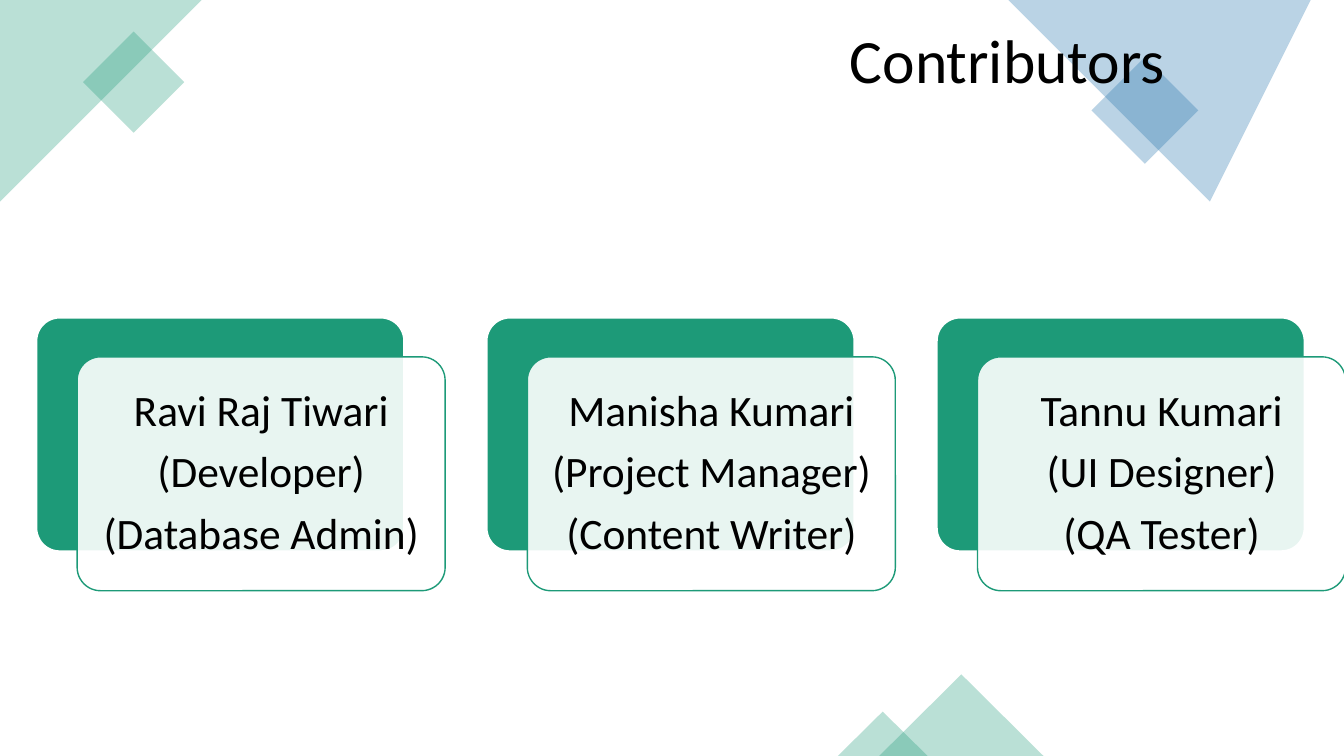
from lxml import etree
from pptx import Presentation
from pptx import util as u
from pptx.dml.color import RGBColor
from pptx.enum import shapes, text
from pptx.oxml.ns import qn

COLORS = {"green": "1D9A78", "blue": "1D6FA9", "white": "FFFFFF", "black": "000000"}

presentation = Presentation()
presentation.slide_width = u.Inches(13.33)
presentation.slide_height = u.Inches(7.5)
slide = presentation.slides.add_slide(presentation.slide_layouts[6])


def paint(shape, color, opacity=100, line=None, weight=1):
    shape.shadow.inherit = False
    shape.fill.solid()
    shape.fill.fore_color.rgb = RGBColor.from_string(COLORS[color])
    if opacity < 100:
        fill_color = shape.fill._xPr.find(qn("a:solidFill"))[0]
        etree.SubElement(fill_color, qn("a:alpha"), val=str(opacity * 1000))
    if line:
        shape.line.color.rgb = RGBColor.from_string(COLORS[line])
        shape.line.width = u.Pt(weight)
    else:
        shape.line.fill.background()


def add_text(lines, left, top, width, height, size, align, inset=(0.1, 0.05), after=0):
    box = slide.shapes.add_textbox(*map(u.Inches, (left, top, width, height)))
    frame = box.text_frame
    frame.word_wrap = True
    frame.vertical_anchor = text.MSO_ANCHOR.MIDDLE
    frame.margin_left = frame.margin_right = u.Inches(inset[0])
    frame.margin_top = frame.margin_bottom = u.Inches(inset[1])
    frame.text = "\n".join(lines)
    for paragraph in frame.paragraphs:
        paragraph.alignment = align
        paragraph.line_spacing = 0.9
        paragraph.space_after = u.Pt(after)
        paragraph.font.name = "Calibri"
        paragraph.font.size = u.Pt(size)
        paragraph.font.color.rgb = RGBColor.from_string(COLORS["black"])


# Large corner pieces, cut off by the slide edges
corners = [
    ("green", [(1.53, 0), (0, 0), (0, 1.3), (0.41, 1.71), (1.83, 0.3)]),
    ("blue", [(13.33, 0), (10.23, 0), (11.93, 1.62), (13.33, 0.28)]),
]
for color, points in corners:
    builder = slide.shapes.build_freeform(*points[0], scale=u.Inches(1))
    builder.add_line_segments(points[1:], close=True)
    paint(builder.convert_to_shape(), color, 30)

# Small tilted squares and the triangles on the bottom edge
square, triangle = shapes.MSO_SHAPE.RECTANGLE, shapes.MSO_SHAPE.ISOSCELES_TRIANGLE
accents = [
    (square, "green", 45, (0.97, 0.46, 0.71, 0.71)),
    (square, "blue", 45, (10.98, 0.72, 0.75, 0.75)),
    (triangle, "green", 0, (8.72, 6.69, 1.63, 0.81)),
    (triangle, "green", 0, (8.31, 7.06, 0.89, 0.44)),
]
for kind, color, angle, area in accents:
    accent = slide.shapes.add_shape(kind, *map(u.Inches, area))
    accent.rotation = angle
    paint(accent, color, 30)

# Title
add_text(["Contributors"], 8.33, 0.16, 5, 0.94, size=44, align=text.PP_ALIGN.LEFT)

# Contributor cards: a green back and a translucent front, shifted
contributors = [
    ["Ravi Raj Tiwari", "(Developer)", "(Database Admin)"],
    ["Manisha Kumari", "(Project Manager)", "(Content Writer)"],
    ["Tannu Kumari", "(UI Designer)", "(QA Tester)"],
]
card_left, card_top, card_pitch = 0.36, 3.15, 4.465
card_width, card_height = 3.65, 2.32
shift_x, shift_y, rim = 0.405, 0.39, 0.07
for column, lines in enumerate(contributors):
    left = card_left + column * card_pitch
    layers = [
        (0, 0, "green", 100, "white", 1.5),
        (shift_x, shift_y, "white", 90, "green", 1),
    ]
    for dx, dy, color, opacity, line, weight in layers:
        card = slide.shapes.add_shape(
            shapes.MSO_SHAPE.ROUNDED_RECTANGLE,
            *map(u.Inches, (left + dx, card_top + dy, card_width, card_height)))
        card.adjustments[0] = 0.1
        paint(card, color, opacity, line, weight)
    add_text(lines, left + shift_x + rim, card_top + shift_y + rim,
             card_width - 2 * rim, card_height - 2 * rim, size=31,
             align=text.PP_ALIGN.CENTER, inset=(0.13, 0.13), after=10.5)

presentation.save("out.pptx")
